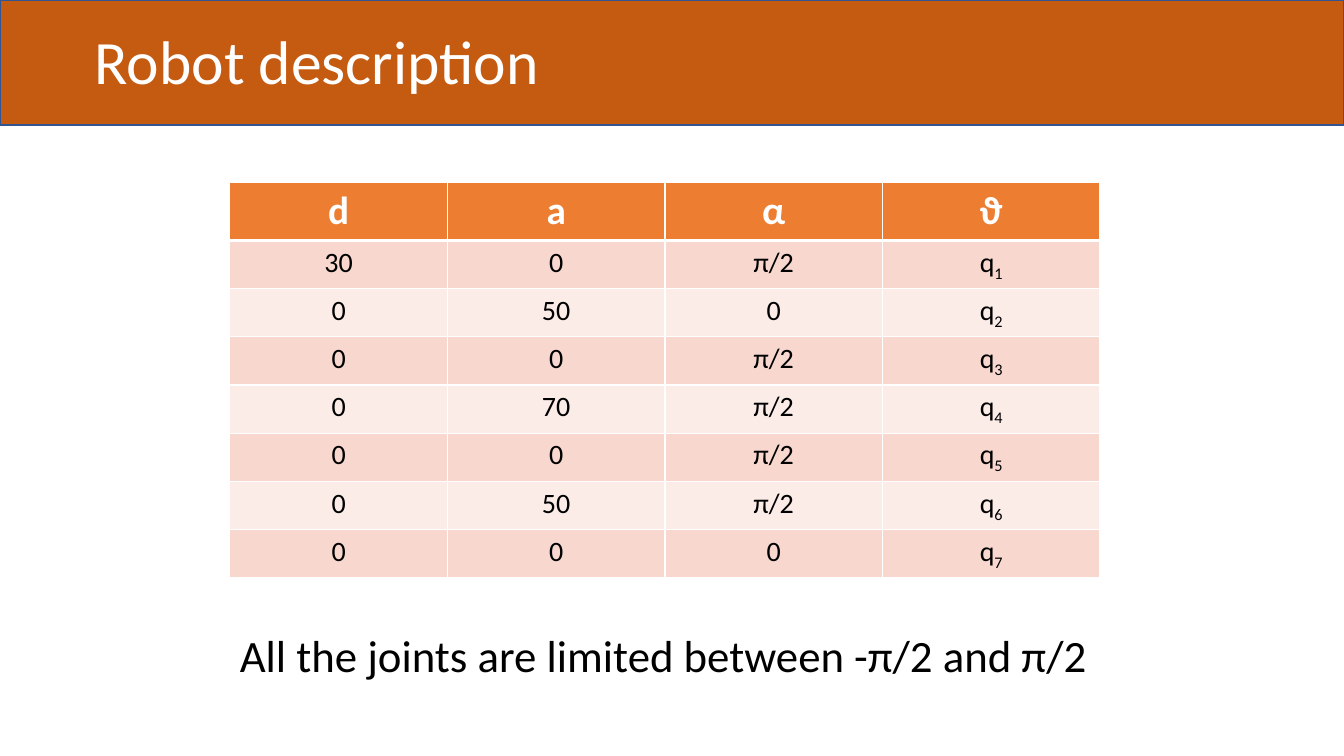
from dataclasses import dataclass

from lxml.etree import SubElement
from pptx import Presentation
from pptx.dml.color import RGBColor
from pptx.enum.shapes import MSO_SHAPE
from pptx.enum.text import MSO_ANCHOR, MSO_AUTO_SIZE, PP_ALIGN
from pptx.oxml.ns import qn
from pptx.util import Inches, Pt


@dataclass(frozen=True)
class Theme:
    font: str = "Calibri"
    band: str = "C55A11"
    band_line: str = "325491"
    header: str = "ED7D31"
    stripes: tuple = ("FCECE8", "F8D7CE")
    light: str = "FFFFFF"
    dark: str = "000000"
    title_size: int = 44
    caption_size: int = 32
    header_size: int = 28
    cell_size: int = 20


def write(frame, text, size, color, bold=False, align=PP_ALIGN.LEFT, spacing=None, subscript=""):
    para = frame.paragraphs[0]
    para.alignment = align
    para.line_spacing = spacing
    for part in filter(None, (text, subscript)):
        span = para.add_run()
        span.text = part
        span.font.name = theme.font
        span.font.size = Pt(size)
        span.font.bold = bold
        span.font.color.rgb = RGBColor.from_string(color)
    if subscript:
        span._r.get_or_add_rPr().set("baseline", "-25000")


def paint_cell(cell, fill, top, bottom):
    properties = cell._tc.get_or_add_tcPr()
    for side, width in (("L", 1), ("R", 1), ("T", top), ("B", bottom)):
        border = SubElement(properties, qn(f"a:ln{side}"), w=str(Pt(width)))
        SubElement(SubElement(border, qn("a:solidFill")), qn("a:srgbClr"), val=theme.light)
    cell.fill.solid()
    cell.fill.fore_color.rgb = RGBColor.from_string(fill)


theme = Theme()
deck = Presentation()
deck.slide_width, deck.slide_height = Inches(13.33), Inches(7.5)
page = deck.slides.add_slide(deck.slide_layouts[5])

band = page.shapes.add_shape(MSO_SHAPE.RECTANGLE, 0, 0, deck.slide_width, Inches(1.24))
band.shadow.inherit = False
band.fill.solid()
band.fill.fore_color.rgb = RGBColor.from_string(theme.band)
band.line.color.rgb = RGBColor.from_string(theme.band_line)
band.line.width = Pt(1)

title = page.shapes.title
title.element.addprevious(band.element)
title.left, title.top, title.width, title.height = map(Inches, (0.84, 0.18, 11.5, 0.92))
title.text_frame.auto_size = MSO_AUTO_SIZE.NONE
title.text_frame.vertical_anchor = MSO_ANCHOR.MIDDLE
write(title.text_frame, "Robot description", theme.title_size, theme.light, spacing=0.9)

header = ("d", "a", "α", "ϑ")
joints = (
    ("30", "0", "π/2"),
    ("0", "50", "0"),
    ("0", "0", "π/2"),
    ("0", "70", "π/2"),
    ("0", "0", "π/2"),
    ("0", "50", "π/2"),
    ("0", "0", "0"),
)
table_left = Inches(2.28)
header_height, row_height = Inches(0.57), Inches(0.475)
table = page.shapes.add_table(
    len(joints) + 1, len(header), table_left, Inches(1.81),
    Inches(8.63), header_height + len(joints) * row_height,
).table
for row in table.rows:
    row.height = row_height
table.rows[0].height = header_height

for column, symbol in enumerate(header):
    cell = table.cell(0, column)
    paint_cell(cell, theme.header, top=1, bottom=3)
    write(cell.text_frame, symbol, theme.header_size, theme.light, bold=True, align=PP_ALIGN.CENTER)

for number, values in enumerate(joints, 1):
    for column, value in enumerate((*values, "q")):
        cell = table.cell(number, column)
        paint_cell(cell, theme.stripes[number % 2], top=3 if number == 1 else 1, bottom=1)
        write(cell.text_frame, value, theme.cell_size, theme.dark, align=PP_ALIGN.CENTER,
              subscript=str(number) if value == "q" else "")

caption = page.shapes.add_textbox(table_left, Inches(6.24), Inches(9.24), Inches(0.71))
caption.text_frame.word_wrap = True
write(caption.text_frame, "All the joints are limited between -π/2 and π/2",
      theme.caption_size, theme.dark, spacing=0.9)

deck.save("out.pptx")
